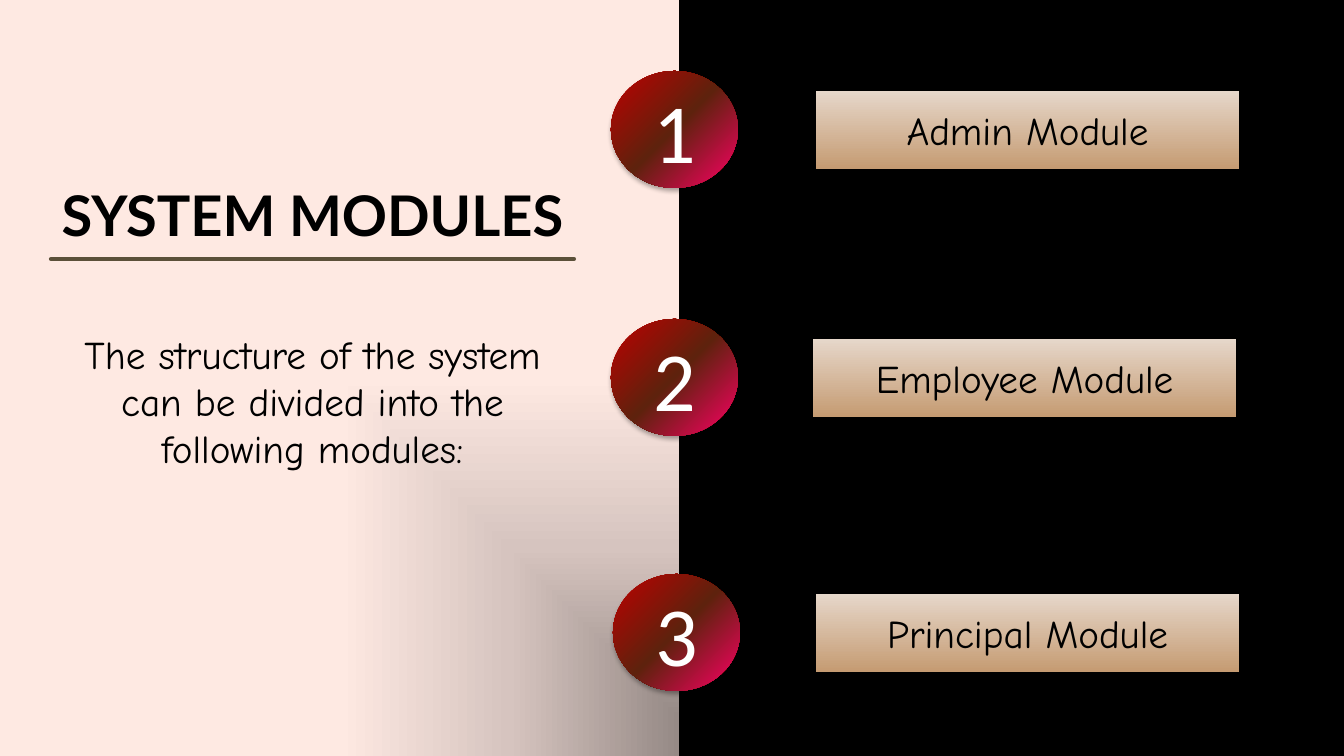
from dataclasses import dataclass
from lxml import etree
from pptx import Presentation
from pptx.dml.color import RGBColor
from pptx.enum.shapes import MSO_CONNECTOR, MSO_SHAPE
from pptx.enum.text import MSO_ANCHOR, MSO_AUTO_SIZE, PP_ALIGN
from pptx.oxml.ns import qn
from pptx.util import Emu, Pt

RECT, OVAL = MSO_SHAPE.RECTANGLE, MSO_SHAPE.OVAL
STRAIGHT = MSO_CONNECTOR.STRAIGHT
MIDDLE, CENTER = MSO_ANCHOR.MIDDLE, PP_ALIGN.CENTER
FIXED = MSO_AUTO_SIZE.NONE
WIDE, HIGH = 1344, 756


@dataclass(frozen=True)
class Theme:
    """Colours, fonts and type sizes of the slide."""
    ink: str = "000000"
    paper: str = "FFFFFF"
    rule: str = "5B5039"
    panel: tuple = ((0, "968A86"), (50, "D6C4BF"), (100, "FEE9E2"))
    badge: tuple = ((0, "C00000"), (50, "5E220D"), (100, "FF0066"))
    bar: tuple = ((0, "E6D7CA"), (100, "C59B72"))
    head: tuple = ("Lato", 40)
    digit: tuple = ("Calibri", 60)
    body: tuple = ("Comic Neue", 28)


THEME = Theme()


def px(*sizes):
    """Turn pixel lengths into EMU."""
    return [Emu(round(n * 914400 / 100.8)) for n in sizes]


def node(top, tag, **attrs):
    """Add a drawing element under another."""
    return etree.SubElement(top, qn("a:" + tag), {k: str(v) for k, v in attrs.items()})


def shade(shape, stops, angle=None):
    """Fill a shape with a gradient, linear or from its lower right corner."""
    shape.fill.background()
    props = shape.element.spPr
    grad = etree.Element(qn("a:gradFill"), rotWithShape="1")
    stop_list = node(grad, "gsLst")
    for spot, color in stops:
        node(node(stop_list, "gs", pos=spot * 1000), "srgbClr", val=color)
    if angle is None:
        node(node(grad, "path", path="rect"), "fillToRect", l=100000, t=100000)
    else:
        node(grad, "lin", ang=angle * 60000, scaled=0)
    props.replace(props.find(qn("a:noFill")), grad)


def glow(effects, alpha, blur, dist):
    """Add a black shadow that falls straight down."""
    cast = node(effects, "outerShdw", blurRad=Pt(blur), dist=Pt(dist),
                dir=5400000, algn="ctr", rotWithShape=0)
    node(node(cast, "srgbClr", val=THEME.ink), "alpha", val=alpha * 1000)


def write(shape, text, face, color, bold=False):
    """Set centred text in a shape."""
    frame = shape.text_frame
    frame.word_wrap = True
    frame.auto_size = FIXED
    frame.vertical_anchor = MIDDLE
    para = frame.paragraphs[0]
    para.text = text
    para.alignment = CENTER
    para.font.name, size = face
    para.font.size = Pt(size)
    para.font.bold = bold
    para.font.color.rgb = RGBColor.from_string(color)


def block(slide, kind, box, stops, angle=None):
    """Add a gradient shape without an outline."""
    shape = slide.shapes.add_shape(kind, *px(*box))
    shape.shadow.inherit = False
    shape.line.fill.background()
    shade(shape, stops, angle)
    return shape


def intro(slide, box):
    """Draw the left panel with title, rule and lead text."""
    left, top, wide, high = box
    block(slide, RECT, box, THEME.panel)

    title = slide.shapes.title
    slide.shapes._spTree.append(title.element)
    title.left, title.top, title.width, title.height = px(left + 27, top + 161, 571, 107)
    write(title, "SYSTEM MODULES", THEME.head, THEME.ink, True)
    props = title.text_frame.paragraphs[0].runs[0].font._element
    glow(node(props, "effectLst"), 40, 3, 2)

    start, end, level = left + 51, left + 574, top + 259
    rule = slide.shapes.add_connector(STRAIGHT, *px(start, level, end, level))
    rule.line.color.rgb = RGBColor.from_string(THEME.rule)
    rule.line.width = Pt(3)
    rule.line._ln.set("cap", "rnd")
    node(rule.element.spPr, "effectLst")

    lead = slide.shapes.add_textbox(*px(start, top + 277, end - start, 247))
    write(lead, "The structure of the system can be divided into the following modules:",
          THEME.body, THEME.ink)


def module(slide, box, number, name, inset):
    """Draw a numbered badge and the bar that names its module."""
    left, top, wide, high = box
    badge = block(slide, OVAL, (left, top, 127, high), THEME.badge, 45)
    glow(badge.element.spPr.find(qn("a:effectLst")), 32, 3.5, 2.2)
    write(badge, str(number), THEME.digit, THEME.paper)
    bar = block(slide, RECT, (left + inset, top + 20, wide - inset, 78), THEME.bar, 90)
    write(bar, name, THEME.body, THEME.ink)


def main():
    """Build and save the slide."""
    deck = Presentation()
    deck.slide_width, deck.slide_height = px(WIDE, HIGH)
    slide = deck.slides.add_slide(deck.slide_layouts[5])
    back = slide.background.fill
    back.solid()
    back.fore_color.rgb = RGBColor.from_string(THEME.ink)
    intro(slide, (0, 0, 679, HIGH))
    rows = ((611, 71, 628, "Admin Module", 205),
            (611, 319, 625, "Employee Module", 202),
            (613, 574, 626, "Principal Module", 203))
    for number, (left, top, wide, name, inset) in enumerate(rows, 1):
        module(slide, (left, top, wide, 117), number, name, inset)
    deck.save("out.pptx")


if __name__ == "__main__":
    main()
